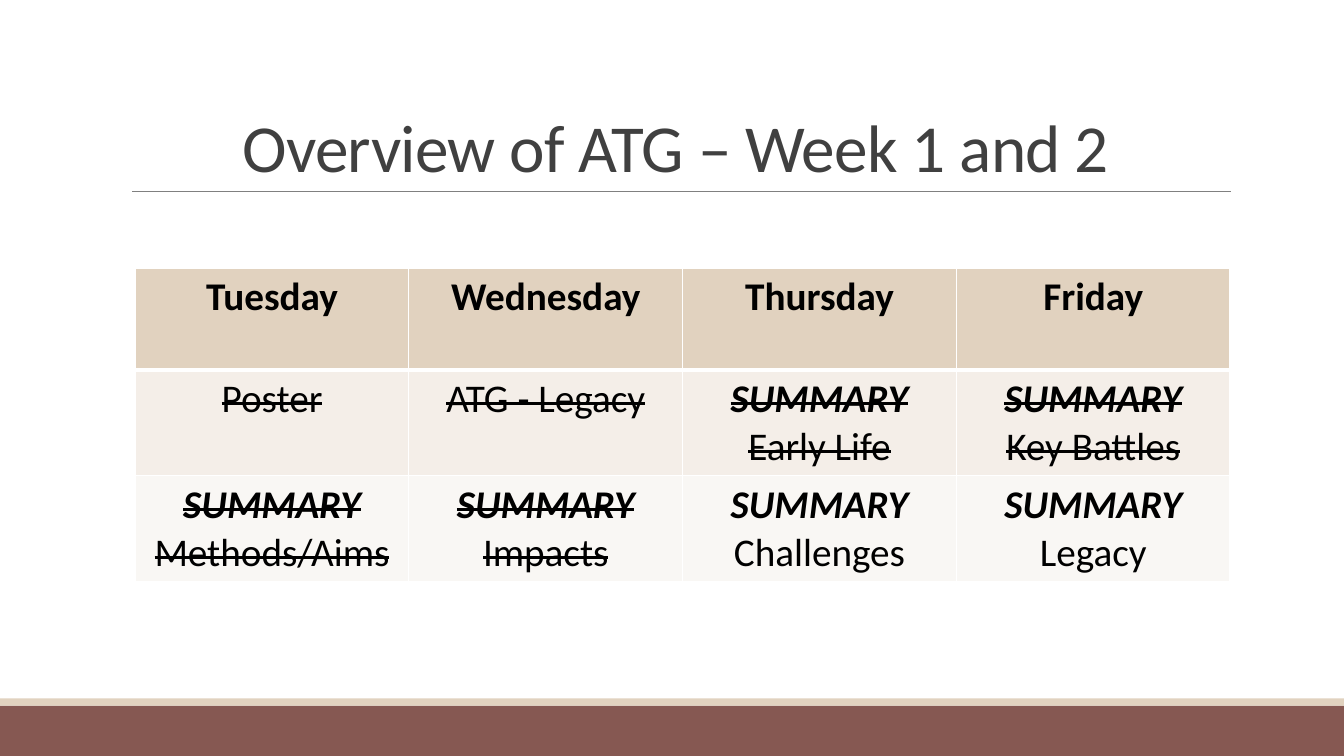
import pptx
import pptx.dml.color
import pptx.enum.shapes
import pptx.enum.text
import pptx.oxml
import pptx.oxml.ns
import pptx.util
from lxml import etree

WIDTH, HEIGHT = 13.33, 7.5
FONT = "Calibri"
BROWN, SAND, WHITE = "865852", "E1D2BF", "FFFFFF"
ROW_FILLS = [SAND, "F4EEE8", "F9F7F4"]
DAYS = ["Tuesday", "Wednesday", "Thursday", "Friday"]
# Each lesson: heading (or None), topic, done
LESSONS = [
    [(None, "Poster", True), (None, "ATG - Legacy", True),
     ("SUMMARY", "Early Life", True), ("SUMMARY", "Key Battles", True)],
    [("SUMMARY", "Methods/Aims", True), ("SUMMARY", "Impacts", True),
     ("SUMMARY", "Challenges", False), ("SUMMARY", "Legacy", False)],
]


def color(value):
    return pptx.dml.color.RGBColor.from_string(value)


def inches(*lengths):
    return [pptx.util.Inches(length) for length in lengths]


def add_span(para, text, size, ink, bold=False, italic=False, struck=False):
    para.alignment = pptx.enum.text.PP_ALIGN.CENTER
    span = para.add_run()
    span.text = text
    font = span.font
    font.name, font.size = FONT, pptx.util.Pt(size)
    font.bold, font.italic = bold, italic
    font.color.rgb = color(ink)
    if struck:
        span._r.get_or_add_rPr().set("strike", "sngStrike")
    return span


def add_band(slide, top, height, fill):
    band = slide.shapes.add_shape(pptx.enum.shapes.MSO_SHAPE.RECTANGLE,
                                  *inches(0, top, WIDTH, height))
    band.shadow.inherit = False
    band.fill.solid()
    band.fill.fore_color.rgb = color(fill)
    band.line.fill.background()


def add_rule(slide, left, right, top):
    rule = slide.shapes.add_connector(pptx.enum.shapes.MSO_CONNECTOR.STRAIGHT,
                                      *inches(left, top, right, top))
    rule.line.color.rgb = color("808080")
    rule.line.width = pptx.util.Pt(0.5)
    etree.SubElement(rule._element.spPr, pptx.oxml.ns.qn("a:effectLst"))


def set_title(slide, text):
    title = slide.shapes.title
    title.left, title.top, title.width, title.height = inches(1.2, 0.31, 11, 1.59)
    frame = title.text_frame
    frame.word_wrap = True
    frame.auto_size = pptx.enum.text.MSO_AUTO_SIZE.NONE
    frame.vertical_anchor = pptx.enum.text.MSO_ANCHOR.BOTTOM
    para = frame.paragraphs[0]
    para.line_spacing = 0.85
    span = add_span(para, text, 48, "404040")
    span._r.get_or_add_rPr().set("spc", "-50")


def style_cell(cell, fill, top, bottom):
    """Fill a cell and give it white borders; top and bottom are in points."""
    cell.fill.solid()
    cell.fill.fore_color.rgb = color(fill)
    properties = cell._tc.get_or_add_tcPr()
    widths = {"lnL": 1, "lnR": 1, "lnT": top, "lnB": bottom}
    for place, (side, width) in enumerate(widths.items()):
        properties.insert(place, pptx.oxml.parse_xml(
            f'<a:{side} {pptx.oxml.ns.nsdecls("a")} w="{pptx.util.Pt(width)}">'
            f'<a:solidFill><a:srgbClr val="{WHITE}"/></a:solidFill></a:{side}>'))


def fill_lesson(cell, heading, topic, done):
    para = cell.text_frame.paragraphs[0]
    if heading:
        add_span(para, heading, 28, "000000", bold=True, italic=True, struck=done)
        para = cell.text_frame.add_paragraph()
    add_span(para, topic, 28, "000000", struck=done)


def add_schedule(slide):
    rows = len(LESSONS) + 1
    table = slide.shapes.add_table(rows, len(DAYS),
                                   *inches(1.34, 2.66, 10.86, 1.01 * rows)).table
    for row, fill in enumerate(ROW_FILLS):
        for column, day in enumerate(DAYS):
            cell = table.cell(row, column)
            style_cell(cell, fill, top=3 if row == 1 else 1, bottom=3 if row == 0 else 1)
            if row == 0:
                add_span(cell.text_frame.paragraphs[0], day, 28, "000000", bold=True)
            else:
                fill_lesson(cell, *LESSONS[row - 1][column])


def main():
    deck = pptx.Presentation()
    deck.slide_width, deck.slide_height = inches(WIDTH, HEIGHT)
    slide = deck.slides.add_slide(deck.slide_layouts.get_by_name("Title Only"))
    add_band(slide, HEIGHT - 0.5, 0.5, BROWN)
    add_band(slide, HEIGHT - 0.57, 0.07, SAND)
    add_rule(slide, 1.31, 12.21, 1.9)
    set_title(slide, "Overview of ATG – Week 1 and 2")
    add_schedule(slide)
    deck.save("out.pptx")


if __name__ == "__main__":
    main()
